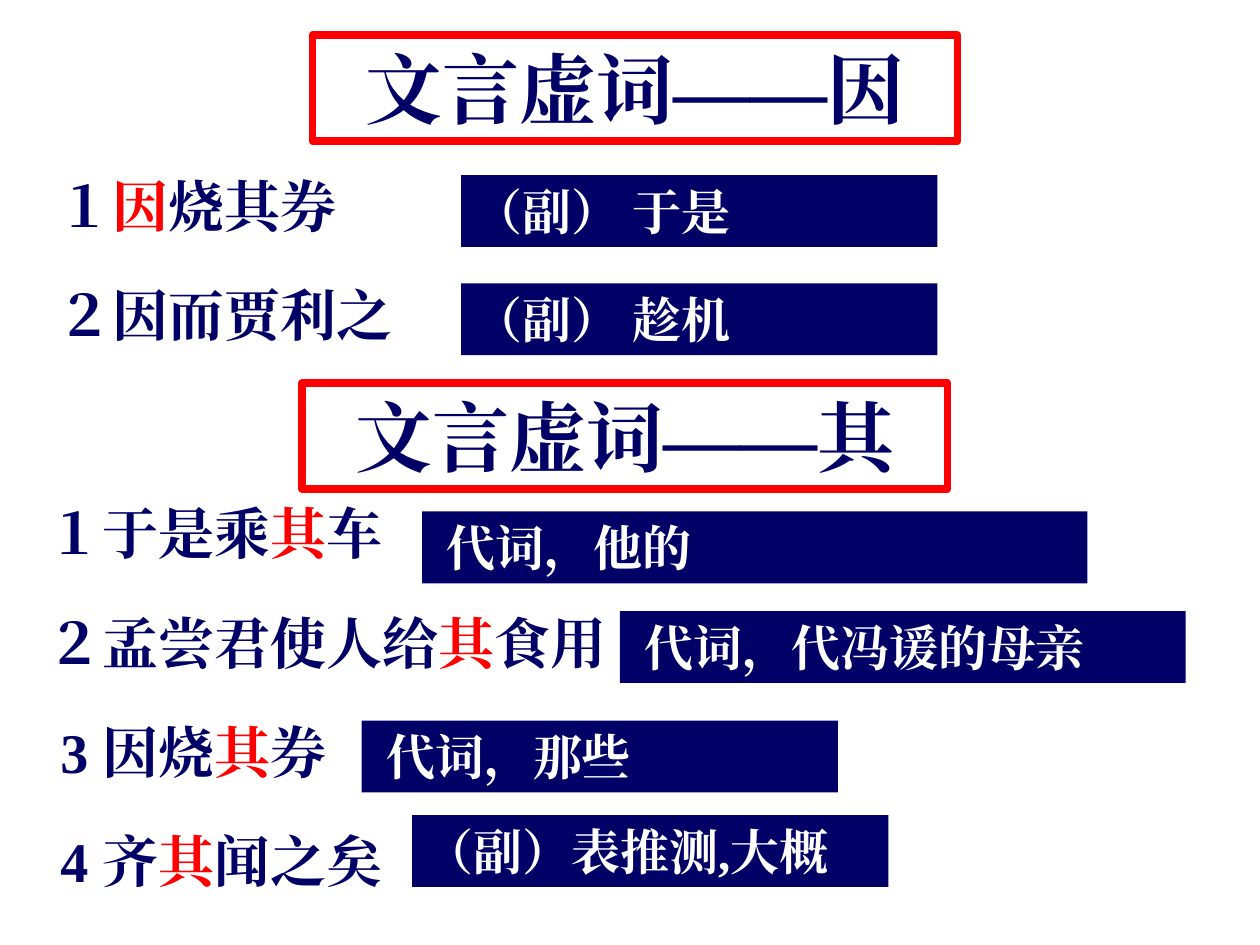
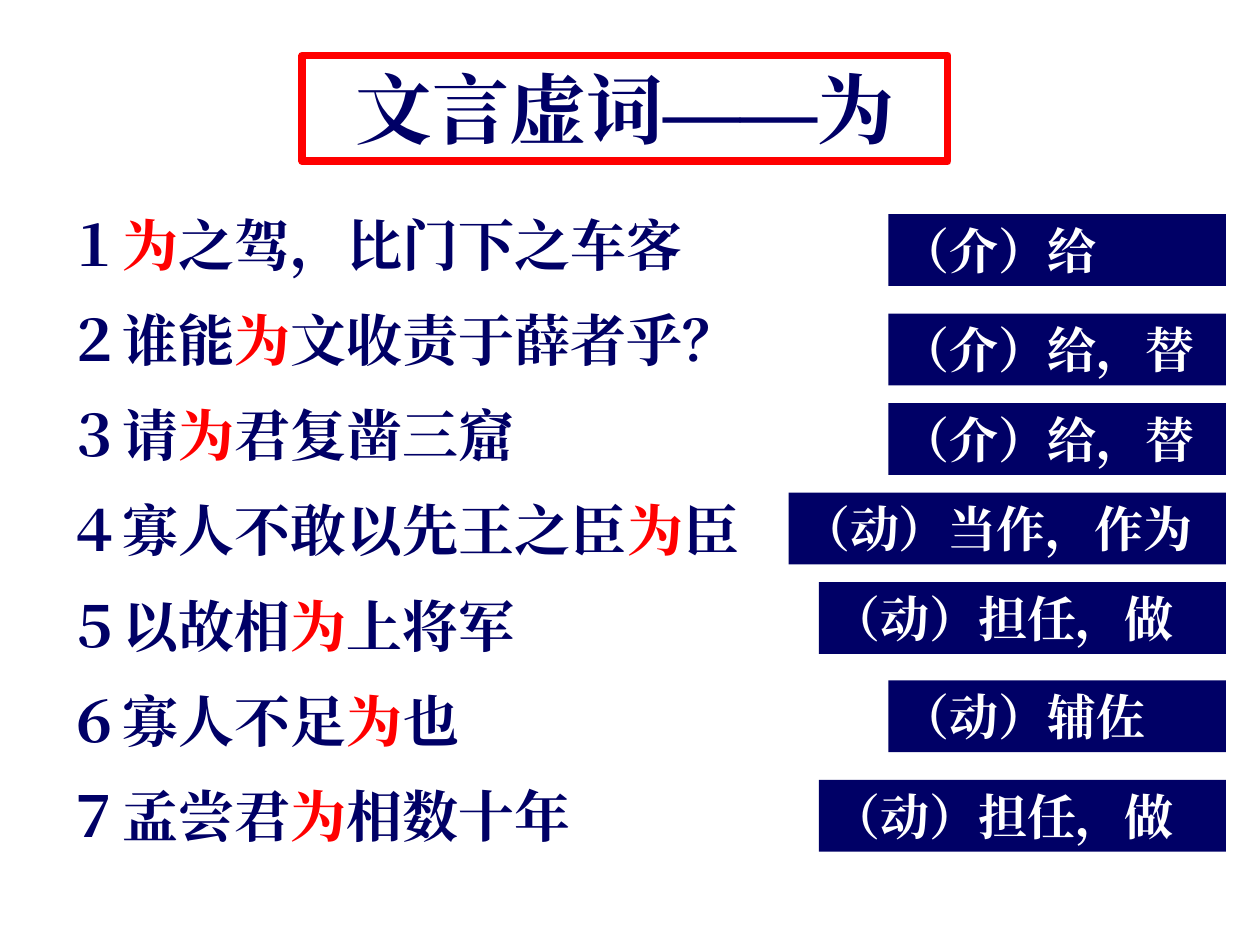
from lxml import etree
from pptx import Presentation
from pptx import util as u
from pptx.dml.color import RGBColor
from pptx.enum import lang, shapes, text
from pptx.oxml import ns

NAVY = RGBColor(0x00, 0x00, 0x66)
RED = RGBColor(0xFF, 0x00, 0x00)
WHITE = RGBColor(0xFF, 0xFF, 0xFF)
FONT = "Times New Roman"
LINE_HEIGHT = 1.2  # line pitch as a multiple of the text size
MARK = "|"  # encloses the highlighted word of an example


def place(shape, left, top, width, height):
    shape.left, shape.top = u.Inches(left), u.Inches(top)
    shape.width, shape.height = u.Inches(width), u.Inches(height)


def add_span(para, words, size, color):
    span = para.add_run()
    span.text = words
    font = span.font
    font.name, font.size, font.bold = FONT, u.Pt(size), True
    font.color.rgb = color
    font.language_id = lang.MSO_LANGUAGE_ID.SIMPLIFIED_CHINESE
    east_asian = etree.SubElement(font._element, ns.qn("a:ea"))
    east_asian.set("typeface", FONT)


def write(shape, lines, *, size, color=NAVY, align=text.PP_ALIGN.LEFT, gap=0):
    """Write one paragraph per line; words between marks turn red."""
    frame = shape.text_frame
    frame.word_wrap = True
    frame.auto_size = text.MSO_AUTO_SIZE.NONE
    frame.vertical_anchor = text.MSO_ANCHOR.TOP
    for number, line in enumerate(lines.split("\n")):
        para = frame.add_paragraph() if number else frame.paragraphs[0]
        para.alignment = align
        para.space_before = u.Pt(gap if number else 0)
        para.line_spacing = u.Pt(size * LINE_HEIGHT)
        for index, words in enumerate(line.split(MARK)):
            if words:
                add_span(para, words, size, RED if index % 2 else color)


def add_rectangle(page, left, top, width, height):
    box = page.shapes.add_shape(
        shapes.MSO_SHAPE.RECTANGLE, u.Inches(left), u.Inches(top),
        u.Inches(width), u.Inches(height))
    box.shadow.inherit = False
    return box


def format_heading(box, word, left, top):
    """White box with a red frame that names the function word."""
    place(box, left, top, 5.12, 0.84)
    box.fill.solid()
    box.fill.fore_color.rgb = WHITE
    box.line.color.rgb = RED
    box.line.width = u.Pt(4.5)
    write(box, "文言虚词——" + word, size=44, align=text.PP_ALIGN.CENTER)


def add_examples(page, lines, left, top, width, height, gap):
    box = page.shapes.add_textbox(0, 0, 0, 0)
    place(box, left, top, width, height)
    write(box, lines, size=32, gap=gap)


def add_answer(page, words, left, top, width):
    box = add_rectangle(page, left, top, width, 0.57)
    box.fill.solid()
    box.fill.fore_color.rgb = NAVY
    box.line.fill.background()
    write(box, words, size=28, color=WHITE)


def add_page(deck, word, left, top):
    page = deck.slides.add_slide(deck.slide_layouts[5])
    format_heading(page.shapes.title, word, left, top)
    return page


def add_yin_and_qi(deck):
    # First function word
    page = add_page(deck, "因", 2.48, 0.28)
    add_examples(page, "１|因|烧其券\n２因而贾利之", 0.35, 1.31, 3.31, 1.5, gap=24)
    add_answer(page, "（副） 于是", 3.66, 1.39, 3.78)
    add_answer(page, "（副） 趁机", 3.66, 2.25, 3.78)

    # Second function word
    format_heading(add_rectangle(page, 0, 0, 1, 1), "其", 2.4, 3.04)
    add_examples(
        page,
        "１于是乘|其|车\n２孟尝君使人给|其|食用\n 3 因烧|其|券\n 4 齐|其|闻之矣",
        0.27, 3.91, 5.36, 3.24, gap=24)
    for words, left, top, width in (
            (" 代词，他的", 3.35, 4.06, 5.28),
            (" 代词，代冯谖的母亲", 4.92, 4.85, 4.49),
            (" 代词，那些", 2.87, 5.72, 3.78),
            ("（副）表推测,大概", 3.27, 6.47, 3.78)):
        add_answer(page, words, left, top, width)


def add_wei(deck):
    page = add_page(deck, "为", 2.4, 0.44)
    add_examples(
        page,
        "１|为|之驾，比门下之车客\n"
        "２谁能|为|文收责于薛者乎？\n"
        "３请|为|君复凿三窟\n"
        "４寡人不敢以先王之臣|为|臣\n"
        "５以故相|为|上将军\n"
        "６寡人不足|为|也\n"
        "７孟尝君|为|相数十年",
        0.43, 1.62, 7.48, 5.17, gap=16)

    # Answers share a right edge
    right = 9.73
    for words, top, width in (
            ("（介）给", 1.7, 2.68),
            ("（介）给，替", 2.49, 2.68),
            ("（介）给，替", 3.2, 2.68),
            ("（动）当作，作为", 3.91, 3.47),
            ("（动）担任，做", 4.62, 3.23),
            ("（动）辅佐", 5.4, 2.68),
            ("（动）担任，做", 6.19, 3.23)):
        add_answer(page, words, right - width, top, width)


def main():
    deck = Presentation()
    deck.slide_width, deck.slide_height = u.Inches(10), u.Inches(7.5)
    add_yin_and_qi(deck)
    add_wei(deck)
    deck.save("out.pptx")


if __name__ == "__main__":
    main()
